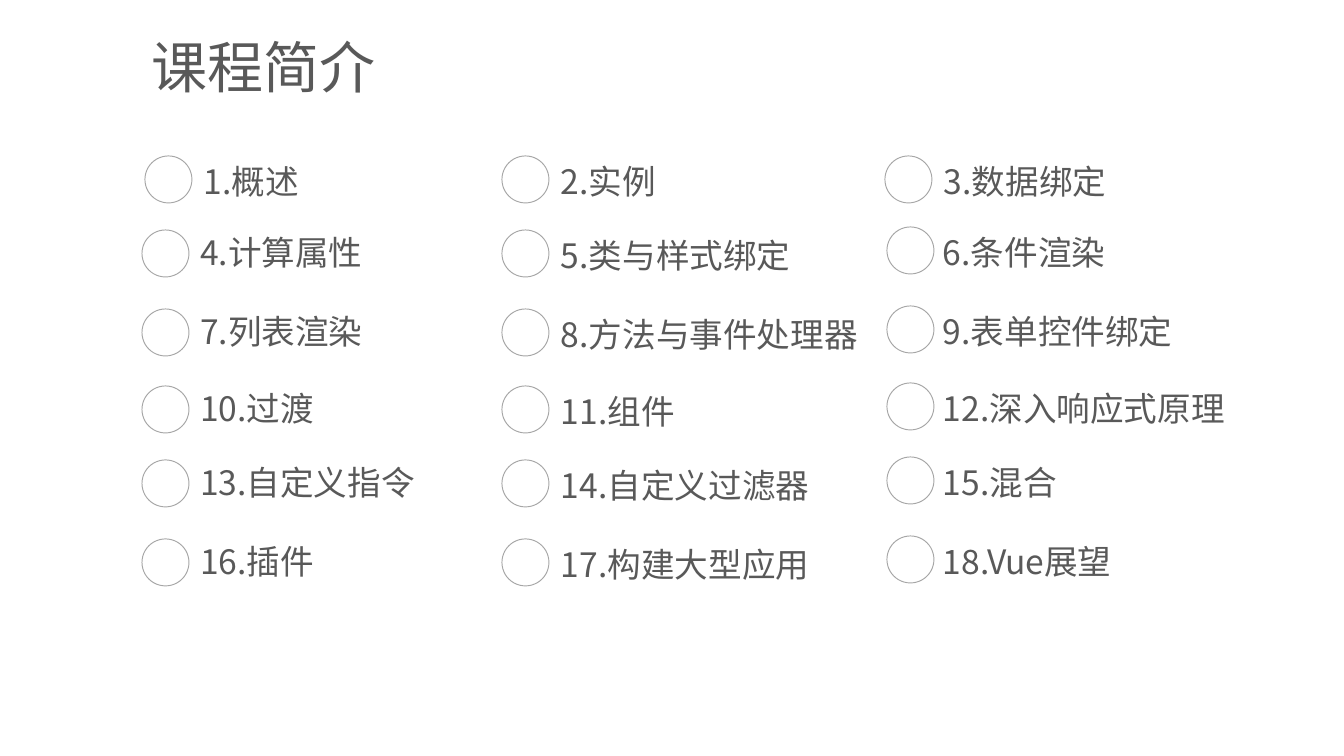
import pptx
import pptx.util
import pptx.dml.color
import pptx.enum.shapes
import pptx.enum.text
import pptx.oxml.ns
from lxml import etree

TITLE = "课程简介"
CHAPTERS = [
    ["1.概述", "2.实例", "3.数据绑定"],
    ["4.计算属性", "5.类与样式绑定", "6.条件渲染"],
    ["7.列表渲染", "8.方法与事件处理器", "9.表单控件绑定"],
    ["10.过渡", "11.组件", "12.深入响应式原理"],
    ["13.自定义指令", "14.自定义过滤器", "15.混合"],
    ["16.插件", "17.构建大型应用", "18.Vue展望"],
]
COLORS = {"text": "595959", "ring": "A6A6A6"}
FONT = "Noto Sans CJK SC"

ROW_TOPS = [156, 227, 306, 383, 457, 536]
COLUMNS = [
    {"ring": 142, "label": 190, "width": 266, "ring_drop": 3, "label_drop": 0},
    {"ring": 502, "label": 551, "width": 335, "ring_drop": 3, "label_drop": 3},
    {"ring": 887, "label": 933, "width": 314, "ring_drop": 0, "label_drop": 0},
]
FIRST_ROW_SHIFTS = [(3, 4), (0, 0), (-2, 1)]
RING_SIZE = 47
LABEL_HEIGHT = 51


def px(value):
    return pptx.util.Emu(round(value * 914400 / 134.4))


def color(name):
    return pptx.dml.color.RGBColor.from_string(COLORS[name])


def add_text(slide, text, left, top, width, height, size):
    box = slide.shapes.add_textbox(px(left), px(top), px(width), px(height))
    frame = box.text_frame
    frame.word_wrap = True
    frame.auto_size = pptx.enum.text.MSO_AUTO_SIZE.SHAPE_TO_FIT_TEXT
    frame.margin_left = frame.margin_right = px(10)
    frame.margin_top = frame.margin_bottom = px(5)
    run = frame.paragraphs[0].add_run()
    run.text = text
    run.font.size = pptx.util.Pt(size)
    run.font.name = FONT
    run.font.color.rgb = color("text")
    etree.SubElement(run.font._element, pptx.oxml.ns.qn("a:ea"), typeface=FONT)


def add_ring(slide, left, top):
    ring = slide.shapes.add_shape(
        pptx.enum.shapes.MSO_SHAPE.OVAL,
        px(left), px(top), px(RING_SIZE), px(RING_SIZE))
    ring.shadow.inherit = False
    ring.fill.background()
    ring.line.color.rgb = color("ring")
    ring.line.width = pptx.util.Pt(0.5)


def main():
    deck = pptx.Presentation()
    deck.slide_width, deck.slide_height = px(1344), px(756)
    slide = deck.slides.add_slide(deck.slide_layouts[6])
    add_text(slide, TITLE, 142, 28, 254, 78, 30)

    for row, (top, chapters) in enumerate(zip(ROW_TOPS, CHAPTERS)):
        for chapter, column, shifts in zip(chapters, COLUMNS, FIRST_ROW_SHIFTS):
            ring_shift, label_shift = (0, 0) if row else shifts
            ring_drop = column["ring_drop"] if row else 0
            label_drop = column["label_drop"] if row else 0
            add_ring(slide, column["ring"] + ring_shift, top + ring_drop)
            add_text(slide, chapter, column["label"] + label_shift,
                     top + label_drop, column["width"], LABEL_HEIGHT, 18)

    deck.save("out.pptx")


if __name__ == "__main__":
    main()
